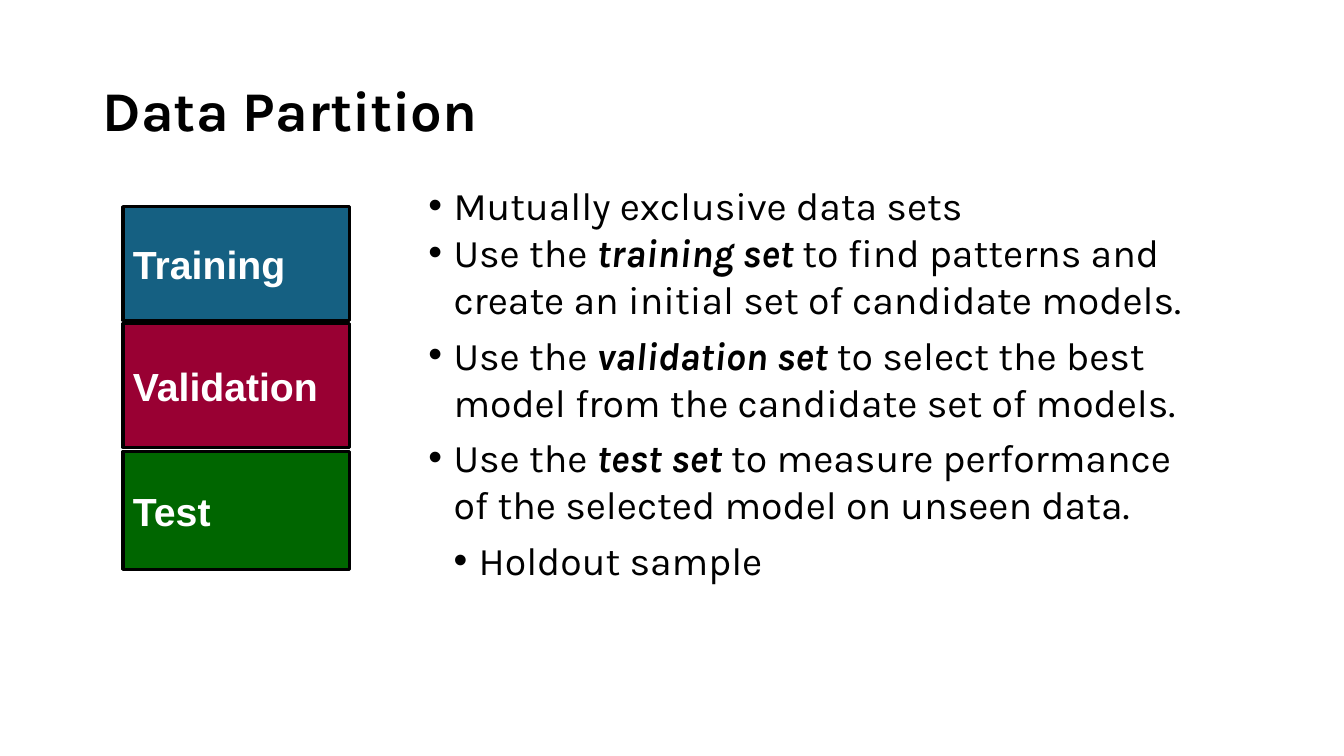
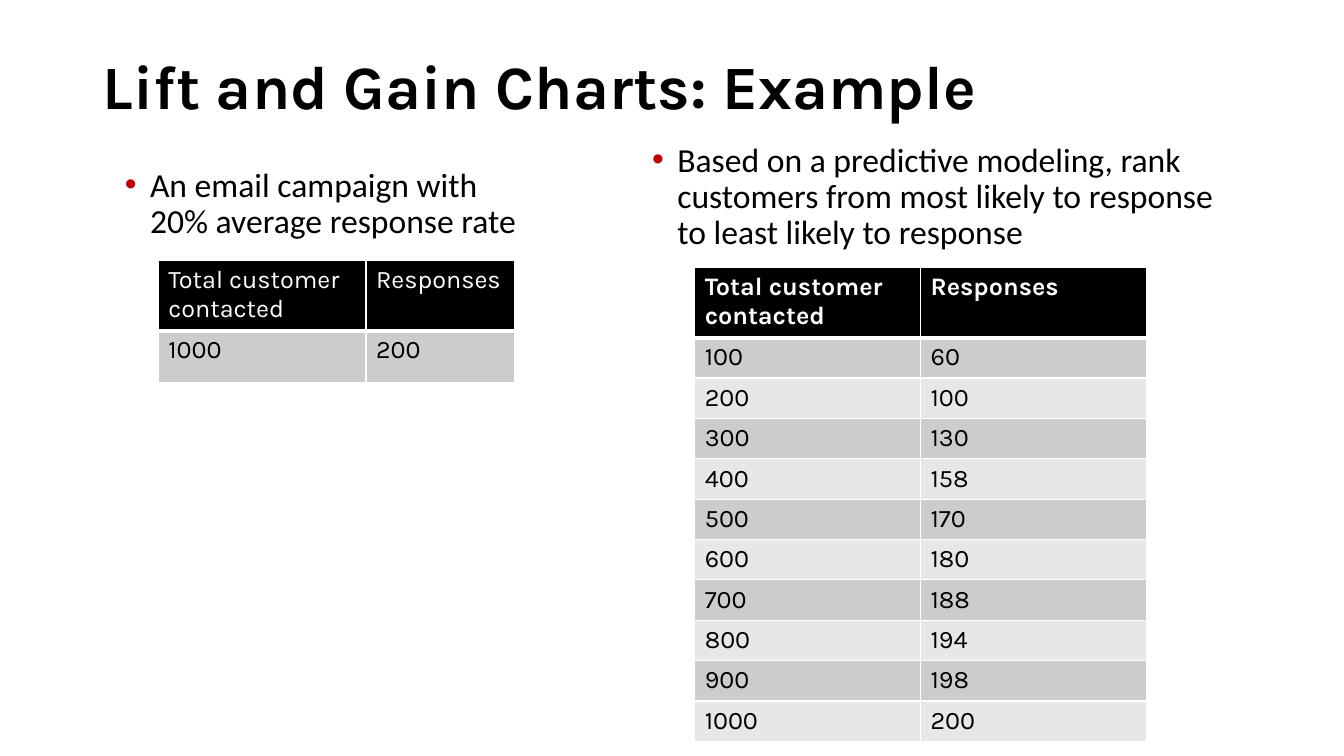
import lxml.etree
import pptx
import pptx.dml.color
import pptx.enum.shapes
import pptx.enum.text
import pptx.oxml.ns
import pptx.util

RGB = pptx.dml.color.RGBColor
BLACK = RGB(0x00, 0x00, 0x00)
WHITE = RGB(0xFF, 0xFF, 0xFF)
BLUE = RGB(0x15, 0x60, 0x82)
CRIMSON = RGB(0x99, 0x00, 0x33)
GREEN = RGB(0x00, 0x66, 0x00)
BULLET_RED = RGB(0xC0, 0x00, 0x00)
BAND_DARK = RGB(0xCC, 0xCC, 0xCC)
BAND_LIGHT = RGB(0xE7, 0xE7, 0xE7)

TITLE_FONT = "Karla"
TITLE_ONLY = 5
INDENT = 25
HEADINGS = ("Total customer contacted", "Responses")


def px(length):
    """Turn px (100 to the inch) into EMU."""
    return pptx.util.Emu(length * 9144)


def add_element(parent, tag, **attributes):
    element = lxml.etree.SubElement(parent, pptx.oxml.ns.qn(tag))
    for name, value in attributes.items():
        element.set(name, str(value))
    return element


def add_color(parent, color):
    add_element(add_element(parent, "a:solidFill"), "a:srgbClr", val=color)


def style_font(paragraph, name, size, color=BLACK, bold=None):
    font = paragraph.font
    font.name = name
    font.size = pptx.util.Pt(size)
    font.color.rgb = color
    font.bold = bold


def add_titled_slide(deck, heading, box, size):
    slide = deck.slides.add_slide(deck.slide_layouts[TITLE_ONLY])
    title = slide.shapes.title
    title.left, title.top, title.width, title.height = map(px, box)
    frame = title.text_frame
    frame.text = heading
    frame.auto_size = pptx.enum.text.MSO_AUTO_SIZE.NONE
    frame.vertical_anchor = pptx.enum.text.MSO_ANCHOR.MIDDLE
    paragraph = frame.paragraphs[0]
    paragraph.alignment = pptx.enum.text.PP_ALIGN.LEFT
    paragraph.line_spacing = 0.9
    style_font(paragraph, TITLE_FONT, size, bold=True)
    return slide


def set_bullet(paragraph, depth, color):
    properties = paragraph._p.get_or_add_pPr()
    properties.set("marL", str(px(INDENT * depth)))
    properties.set("indent", str(px(-INDENT)))
    add_element(add_element(properties, "a:buClr"), "a:srgbClr", val=color)
    add_element(properties, "a:buFont", typeface="Arial")
    add_element(properties, "a:buChar", char="•")


def add_bullets(slide, box, items, font_name, size, bullet_color=BLACK, line_spacing=None):
    """Each item is (depth, space before, parts); every second part is emphasised."""
    frame = slide.shapes.add_textbox(*map(px, box)).text_frame
    frame.word_wrap = True
    for index, (depth, space_before, parts) in enumerate(items):
        paragraph = frame.add_paragraph() if index else frame.paragraphs[0]
        paragraph.line_spacing = line_spacing
        paragraph.space_before = pptx.util.Pt(space_before)
        set_bullet(paragraph, depth, bullet_color)
        style_font(paragraph, font_name, size)
        for position, part in enumerate(parts):
            run = paragraph.add_run()
            run.text = part
            if position % 2:
                run.font.bold = run.font.italic = True


def add_partition_stack(slide, box, partitions):
    """Stack the partitions; each is (name, colour, offset, height)."""
    left, top, width = box
    stack = slide.shapes.add_group_shape()
    for name, color, offset, height in partitions:
        partition = stack.shapes.add_shape(
            pptx.enum.shapes.MSO_SHAPE.RECTANGLE,
            px(left), px(top + offset), px(width), px(height))
        partition.shadow.inherit = False
        partition.fill.solid()
        partition.fill.fore_color.rgb = color
        partition.line.color.rgb = BLACK
        partition.line.width = pptx.util.Pt(2.25)
        frame = partition.text_frame
        frame.text = name
        frame.vertical_anchor = pptx.enum.text.MSO_ANCHOR.MIDDLE
        paragraph = frame.paragraphs[0]
        paragraph.alignment = pptx.enum.text.PP_ALIGN.LEFT
        style_font(paragraph, "Arial", 28, WHITE, True)


def set_borders(cell, bottom_width):
    properties = cell._tc.get_or_add_tcPr()
    for side, width in (("L", 1), ("R", 1), ("T", 1), ("B", bottom_width)):
        border = add_element(properties, f"a:ln{side}", w=pptx.util.Pt(width))
        add_color(border, WHITE)


def add_response_table(slide, corner, column_widths, row_heights, counts, bold_heading):
    rows = [HEADINGS, *counts]
    size = (sum(column_widths), sum(row_heights))
    table = slide.shapes.add_table(
        len(rows), len(HEADINGS), *map(px, corner + size)).table
    table.first_row = table.horz_banding = False
    for column, width in zip(table.columns, column_widths):
        column.width = px(width)
    for row_index, (row, height) in enumerate(zip(rows, row_heights)):
        table.rows[row_index].height = px(height)
        is_heading = row_index == 0
        band = BAND_DARK if row_index % 2 else BAND_LIGHT
        for column_index, value in enumerate(row):
            cell = table.cell(row_index, column_index)
            set_borders(cell, 3 if is_heading else 1)
            cell.fill.solid()
            cell.fill.fore_color.rgb = BLACK if is_heading else band
            cell.text = str(value)
            style_font(cell.text_frame.paragraphs[0], TITLE_FONT, 18,
                       WHITE if is_heading else BLACK, is_heading and bold_heading)


def build_data_partition(deck):
    slide = add_titled_slide(deck, "Data Partition", (92, 40, 1150, 145), 40)
    # Explanation of the three sets
    add_bullets(slide, (415, 175, 797, 486), [
        (1, 0, ["Mutually exclusive data sets"]),
        (1, 0, ["Use the ", "training set ",
                "to find patterns and create an initial set of candidate models."]),
        (1, 6, ["Use the ", "validation set",
                " to select the best model from the candidate set of models."]),
        (1, 6, ["Use the ", "test set",
                " to measure performance of the selected model on unseen data."]),
        (2, 6, ["Holdout sample"]),
    ], TITLE_FONT, 28)
    # Stacked data sets
    add_partition_stack(slide, (122, 205, 225), [
        ("Training", BLUE, 0, 113),
        ("Validation", CRIMSON, 116, 123),
        ("Test", GREEN, 243, 117),
    ])


def build_lift_example(deck):
    slide = add_titled_slide(
        deck, "Lift and Gain Charts: Example", (92, 40, 1150, 97), 44)
    # Captions above the tables
    captions = [
        ((637, 137, 580, 97), "Based on a predictive modeling, rank customers from "
                              "most likely to response to least likely to response"),
        ((114, 162, 417, 97), "An email campaign with 20% average response rate"),
    ]
    for box, caption in captions:
        add_bullets(slide, box, [(1, 10, [caption])], "Calibri", 24, BULLET_RED, 0.9)
    # Whole campaign
    add_response_table(slide, (157, 258), (206, 147), (68, 52), [(1000, 200)], False)
    # Cumulative responses by rank
    responses = (60, 100, 130, 158, 170, 180, 188, 194, 198, 200)
    ranked = [(100 * rank, count) for rank, count in enumerate(responses, 1)]
    add_response_table(slide, (689, 265), (224, 224), (68, *[39] * len(ranked)),
                       ranked, True)


def main():
    deck = pptx.Presentation()
    deck.slide_width, deck.slide_height = px(1333), px(750)
    build_data_partition(deck)
    build_lift_example(deck)
    deck.save("out.pptx")


if __name__ == "__main__":
    main()
